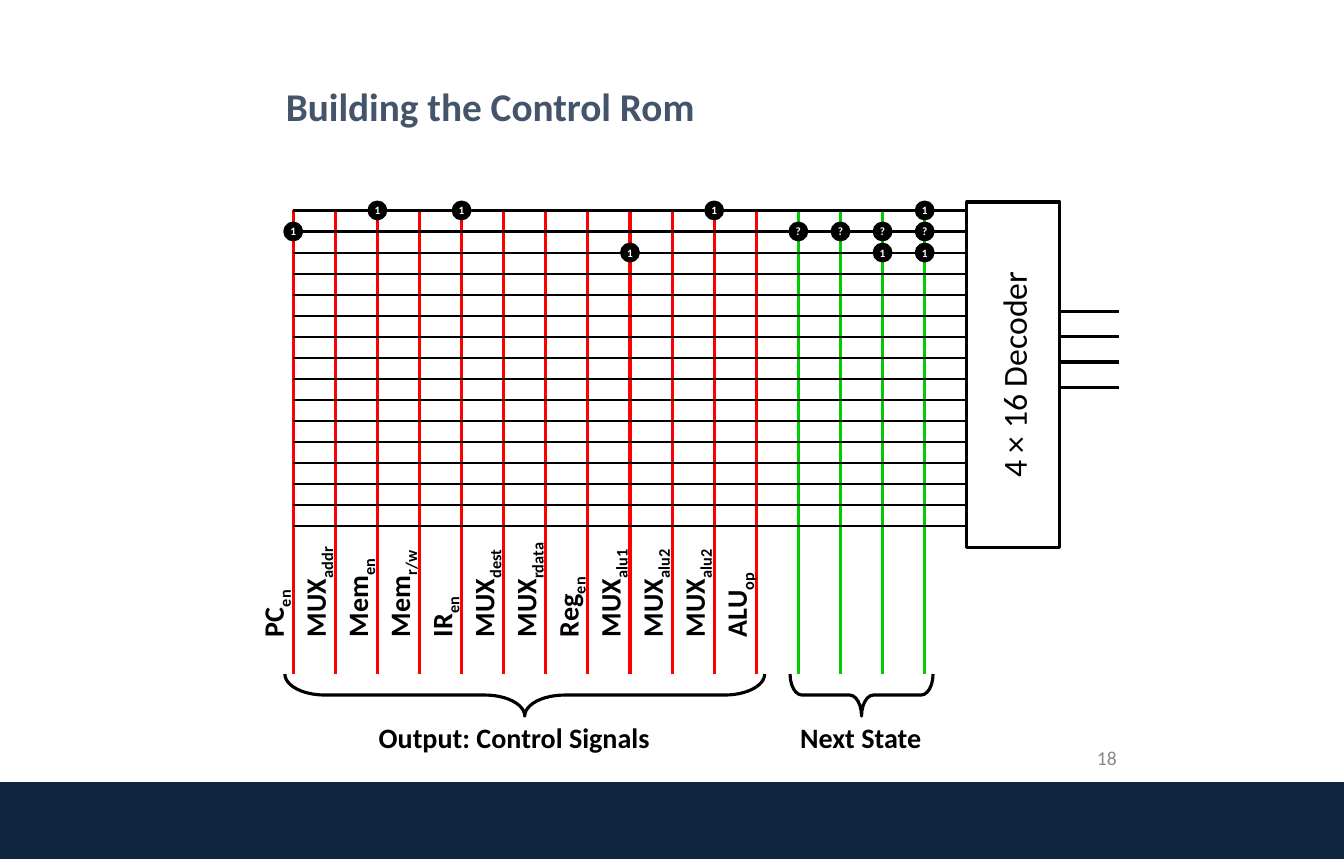
from pptx import Presentation
from pptx.dml.color import RGBColor
from pptx.enum import shapes, text
from pptx.oxml.ns import qn
from pptx.util import Cm, Pt

TITLE = "Building the Control Rom"
PAGE = "18"
DECODER = "4 × 16 Decoder"
# name, subscript, label length in cm
SIGNALS = [
    ("PC", "en", 1.75), ("MUX", "addr", 2.97), ("Mem", "en", 2.57),
    ("Mem", "r/w", 2.79), ("IR", "en", 1.57), ("MUX", "dest", 2.82),
    ("MUX", "rdata", 3.1), ("Reg", "en", 2.16), ("MUX", "alu1", 2.87),
    ("MUX", "alu2", 2.87), ("MUX", "alu2", 2.87), ("ALU", "op", 2.49),
]
STATES = 4
ROWS = 16
# row of the ROM: {column: mark}
MARKS = {
    0: {2: "1", 4: "1", 10: "1", 15: "1"},
    1: {0: "1", 12: "?", 13: "?", 14: "?", 15: "?"},
    2: {8: "1", 14: "1", 15: "1"},
}
# caption, first column, last column, curve, left, width
GROUPS = [
    ("Output: Control Signals", 0, 11, 0.95, 9.27, 7.37),
    ("Next State", 12, 15, 0.283, 19.86, 3.65),
]
THEME = {
    "font": "Calibri",
    "ink": "000000", "paper": "FFFFFF", "title": "44546A", "page": "888888",
    "bar": "10253F", "signal": "FF0000", "state": "00CC00",
    "title_pt": 28, "big_pt": 24, "label_pt": 20, "page_pt": 14, "mark_pt": 8,
    "thin": 1.5, "thick": 2.25,
}

LEFT, RIGHT, TOP, FOOT = 7.37, 24.3, 5.29, 16.94
COLS = len(SIGNALS) + STATES
STEP = (RIGHT - LEFT) / COLS
GAP = STEP / 2
DOT = 0.42
LABEL = 1.11

prs = Presentation()
prs.slide_width, prs.slide_height = Cm(33.78), Cm(21.59)
slide = prs.slides.add_slide(prs.slide_layouts[5])
parts = slide.shapes


def tint(name):
    return RGBColor.from_string(THEME[name])


def style(run, size, color="ink", bold=False):
    run.font.name = THEME["font"]
    run.font.size = Pt(THEME[size])
    run.font.bold = bold
    run.font.color.rgb = tint(color)


def write(shape, words, size, color="ink", bold=False, align=text.PP_ALIGN.LEFT):
    shape.text_frame.text = words
    para = shape.text_frame.paragraphs[0]
    para.alignment = align
    style(para.runs[0], size, color, bold)
    return para


def box(left, top, width, height):
    item = parts.add_textbox(Cm(left), Cm(top), Cm(width), Cm(height))
    item.text_frame.word_wrap = True
    return item


def draw(kind, left, top, width, height, fill=None, line="ink"):
    item = parts.add_shape(kind, Cm(left), Cm(top), Cm(width), Cm(height))
    item.shadow.inherit = False
    if fill:
        item.fill.solid()
        item.fill.fore_color.rgb = tint(fill)
    else:
        item.fill.background()
    if line:
        item.line.color.rgb = tint(line)
        item.line.width = Pt(THEME["thick"])
    else:
        item.line.fill.background()
    return item


def wire(x1, y1, x2, y2, color="ink", width="thick"):
    item = parts.add_connector(shapes.MSO_CONNECTOR.STRAIGHT,
                               Cm(x1), Cm(y1), Cm(x2), Cm(y2))
    item.line.color.rgb = tint(color)
    item.line.width = Pt(THEME[width])
    props = item._element.spPr
    props.append(props.makeelement(qn("a:effectLst"), {}))


def col(index):
    return LEFT + index * STEP


def row(index):
    return TOP + index * GAP


def turned(mid_x, mid_y, width, height):
    """Frame of a shape that is turned about its centre."""
    return mid_x - width / 2, mid_y - height / 2, width, height


def frame():
    head = parts.title
    head.left, head.top, head.width, head.height = Cm(6.93), Cm(0.2), Cm(21.16), Cm(3.18)
    write(head, TITLE, "title_pt", "title", True)
    head.text_frame.vertical_anchor = text.MSO_ANCHOR.BOTTOM
    head.text_frame.auto_size = text.MSO_AUTO_SIZE.NONE
    head.text_frame.word_wrap = True
    draw(shapes.MSO_SHAPE.RECTANGLE, 0, 19.66, 33.78, 1.93, "bar", None)
    write(box(22.4, 18.62, 5.92, 1.32), PAGE, "page_pt", "page",
          align=text.PP_ALIGN.RIGHT)


def decoder():
    item = draw(shapes.MSO_SHAPE.RECTANGLE, *turned(25.47, 9.42, 8.69, 2.34))
    item.rotation = 270
    write(item, DECODER, "big_pt", align=text.PP_ALIGN.CENTER)
    item.text_frame.vertical_anchor = text.MSO_ANCHOR.MIDDLE
    for i in range(4):
        y = 7.83 + i * 0.635
        wire(26.63, y, 28.12, y)


def grid():
    for i in range(COLS):
        color = "signal" if i < len(SIGNALS) else "state"
        wire(col(i), TOP, col(i), FOOT, color)
    for i in range(ROWS):
        wire(RIGHT, row(i), LEFT, row(i), width="thin")


def labels():
    for i, (name, sub, size) in enumerate(SIGNALS):
        item = box(*turned(col(i) - 0.51, 16.26 - size / 2, size, LABEL))
        item.rotation = 270
        para = write(item, name, "label_pt", bold=True)
        tail = para.add_run()
        tail.text = sub
        style(tail, "label_pt", bold=True)
        tail.font._element.set("baseline", "-25000")


def groups():
    for words, first, last, curve, left, width in GROUPS:
        span = (last - first) * STEP + DOT
        mid = (col(first) + col(last)) / 2
        brace = draw(shapes.MSO_SHAPE.LEFT_BRACE,
                     *turned(mid, FOOT + STEP / 2, STEP, span))
        brace.rotation = 270
        brace.adjustments[0] = curve
        write(box(left, 17.98, width, LABEL), words, "label_pt", bold=True)


def marks():
    for r, line in MARKS.items():
        for c, mark in line.items():
            dot = draw(shapes.MSO_SHAPE.OVAL,
                       *turned(col(c), row(r), DOT, DOT), fill="ink")
            write(dot, mark, "mark_pt", "paper", True, text.PP_ALIGN.CENTER)
            dot.text_frame.vertical_anchor = text.MSO_ANCHOR.MIDDLE
            dot.text_frame.word_wrap = False


def main():
    frame()
    decoder()
    grid()
    groups()
    labels()
    marks()
    prs.save("out.pptx")


if __name__ == "__main__":
    main()
